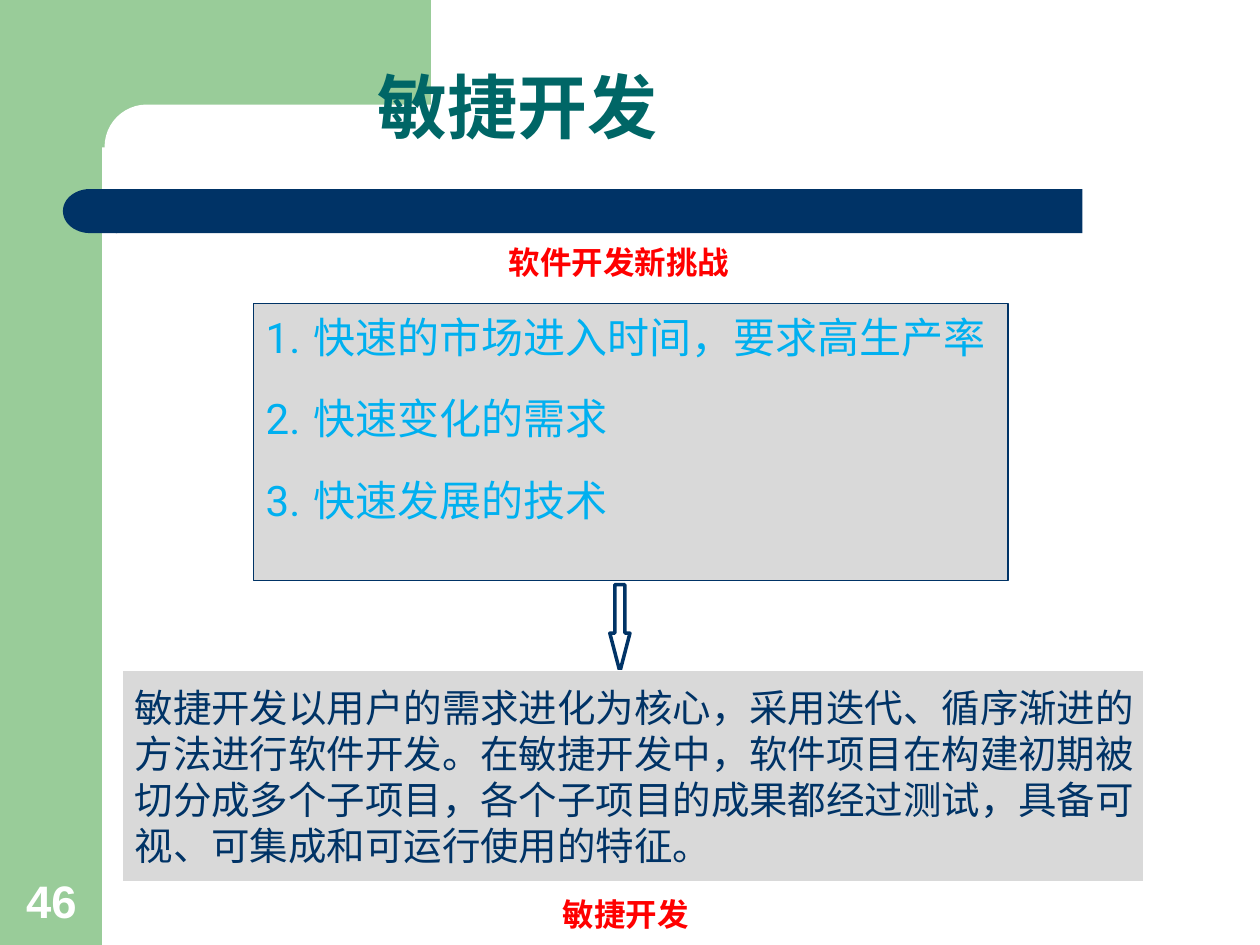
from dataclasses import dataclass

from lxml import etree
from pptx import Presentation
from pptx import util as u
from pptx.dml.color import RGBColor
from pptx.enum import shapes, text
from pptx.oxml import ns


@dataclass(frozen=True)
class Theme:
    green: str = "99CC99"
    navy: str = "003366"
    teal: str = "006666"
    cyan: str = "00B0F0"
    red: str = "FF0000"
    grey: str = "D9D9D9"
    white: str = "FFFFFF"
    heading_font: str = "Arial"
    body_font: str = "Roboto"
    label_font: str = "Noto Sans CJK SC"
    title_size: int = 40
    number_size: int = 26
    challenge_size: int = 24
    body_size: int = 22
    label_size: int = 18


THEME = Theme()
SHAPE = shapes.MSO_SHAPE
ANCHOR = text.MSO_ANCHOR

TITLE = "敏捷开发"
PAGE_NUMBER = "46"
CHALLENGES = ["快速的市场进入时间，要求高生产率", "快速变化的需求", "快速发展的技术"]
DEFINITION = [
    "敏捷开发以用户的需求进化为核心，采用迭代、循序渐进的",
    "方法进行软件开发。在敏捷开发中，软件项目在构建初期被",
    "切分成多个子项目，各个子项目的成果都经过测试，具备可",
    "视、可集成和可运行使用的特征。",
]
LABELS = [
    ("软件开发新挑战", (3.94, 1.91, 2.16, 0.34)),
    ("敏捷开发", (4.37, 7.08, 2.17, 0.34)),
]
BACKDROP = [
    (SHAPE.RECTANGLE, (0, 0, 0.81, 7.5), THEME.green, []),
    (SHAPE.RECTANGLE, (0.73, 0, 2.69, 1.17), THEME.green, []),
    (SHAPE.ROUNDED_RECTANGLE, (0.83, 0.83, 5.58, 0.67), THEME.white, [0.5]),
    (SHAPE.RECTANGLE, (0.92, 1.5, 7.67, 0.35), THEME.navy, []),
]


def color(value):
    return RGBColor.from_string(value)


def add_block(slide, kind, box, fill=None, line=None, width=0.75, adjustments=()):
    shape = slide.shapes.add_shape(kind, *map(u.Inches, box))
    shape.shadow.inherit = False
    for index, value in enumerate(adjustments):
        shape.adjustments[index] = value
    if fill:
        shape.fill.solid()
        shape.fill.fore_color.rgb = color(fill)
    else:
        shape.fill.background()
    if line:
        shape.line.color.rgb = color(line)
        shape.line.width = u.Pt(width)
    else:
        shape.line.fill.background()
    return shape


def write(shape, lines, font, size, ink, bold=False, anchor=ANCHOR.MIDDLE, inset=0.05):
    frame = shape.text_frame
    frame.word_wrap = True
    frame.vertical_anchor = anchor
    frame.margin_top = frame.margin_bottom = u.Inches(inset)
    frame.margin_right = u.Inches(0.05)
    frame.text = "\n".join(lines)
    for paragraph in frame.paragraphs:
        paragraph.alignment = text.PP_ALIGN.LEFT
        for run in paragraph.runs:
            run.font.name = font
            run.font.size = u.Pt(size)
            run.font.bold = bold
            run.font.color.rgb = color(ink)
            east_asian = etree.Element(ns.qn("a:ea"), typeface=font)
            run.font._element.find(ns.qn("a:latin")).addnext(east_asian)
    return frame.paragraphs


def number(paragraph):
    properties = paragraph._p.get_or_add_pPr()
    properties.set("marL", str(u.Inches(0.38)))
    properties.set("indent", str(-u.Inches(0.38)))
    bullet_color = etree.SubElement(properties, ns.qn("a:buClr"))
    etree.SubElement(bullet_color, ns.qn("a:srgbClr"), val=THEME.cyan)
    etree.SubElement(properties, ns.qn("a:buFont"), typeface=THEME.body_font)
    etree.SubElement(properties, ns.qn("a:buAutoNum"), type="arabicPeriod")


def main():
    presentation = Presentation()
    presentation.slide_width = u.Inches(10)
    presentation.slide_height = u.Inches(7.5)
    slide = presentation.slides.add_slide(presentation.slide_layouts[6])

    for kind, box, fill, adjustments in BACKDROP:
        add_block(slide, kind, box, fill, adjustments=adjustments)
    bar_end = add_block(slide, SHAPE.FLOWCHART_DELAY, (0.5, 1.5, 0.43, 0.35), THEME.navy)
    bar_end._element.spPr.get_or_add_xfrm().set("flipH", "1")

    page_box = slide.shapes.add_textbox(*map(u.Inches, (0.11, 6.88, 0.64, 0.53)))
    write(page_box, [PAGE_NUMBER], THEME.heading_font, THEME.number_size,
          THEME.white, True, ANCHOR.BOTTOM)

    title_box = slide.shapes.add_textbox(*map(u.Inches, (2.9, 0.13, 5.85, 1.1)))
    title = write(title_box, [TITLE], THEME.heading_font, THEME.title_size,
                  THEME.teal, True, ANCHOR.BOTTOM)
    title[0].line_spacing = 0.9

    challenge_box = add_block(slide, SHAPE.RECTANGLE, (2.01, 2.41, 5.99, 2.2),
                              THEME.grey, THEME.navy)
    challenges = write(challenge_box, CHALLENGES, THEME.body_font, THEME.challenge_size,
                       THEME.cyan, anchor=ANCHOR.TOP, inset=0.02)
    for index, paragraph in enumerate(challenges):
        paragraph.line_spacing = 1.1
        paragraph.space_before = u.Pt(10.5 if index else 0)
        paragraph.space_after = u.Pt(4.5)
        number(paragraph)

    add_block(slide, SHAPE.DOWN_ARROW, (4.84, 4.64, 0.16, 0.69), line=THEME.navy,
              width=2, adjustments=(0.5, 1.91))

    definition_box = add_block(slide, SHAPE.RECTANGLE, (0.97, 5.32, 8.11, 1.68),
                               THEME.grey, THEME.white)
    write(definition_box, DEFINITION, THEME.body_font, THEME.body_size, THEME.navy)

    for label, box in LABELS:
        label_box = add_block(slide, SHAPE.RECTANGLE, box, THEME.white, THEME.white)
        write(label_box, [label], THEME.label_font, THEME.label_size, THEME.red, True)

    presentation.save("out.pptx")


if __name__ == "__main__":
    main()
